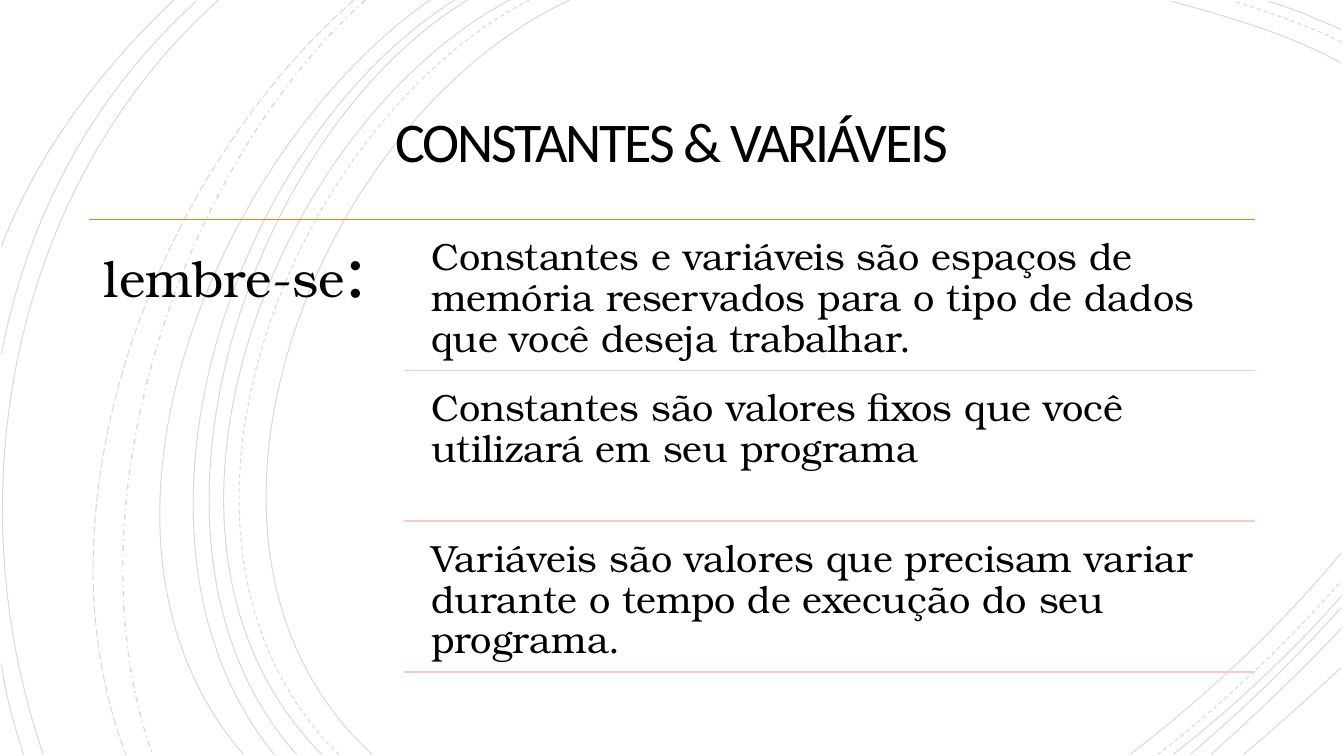
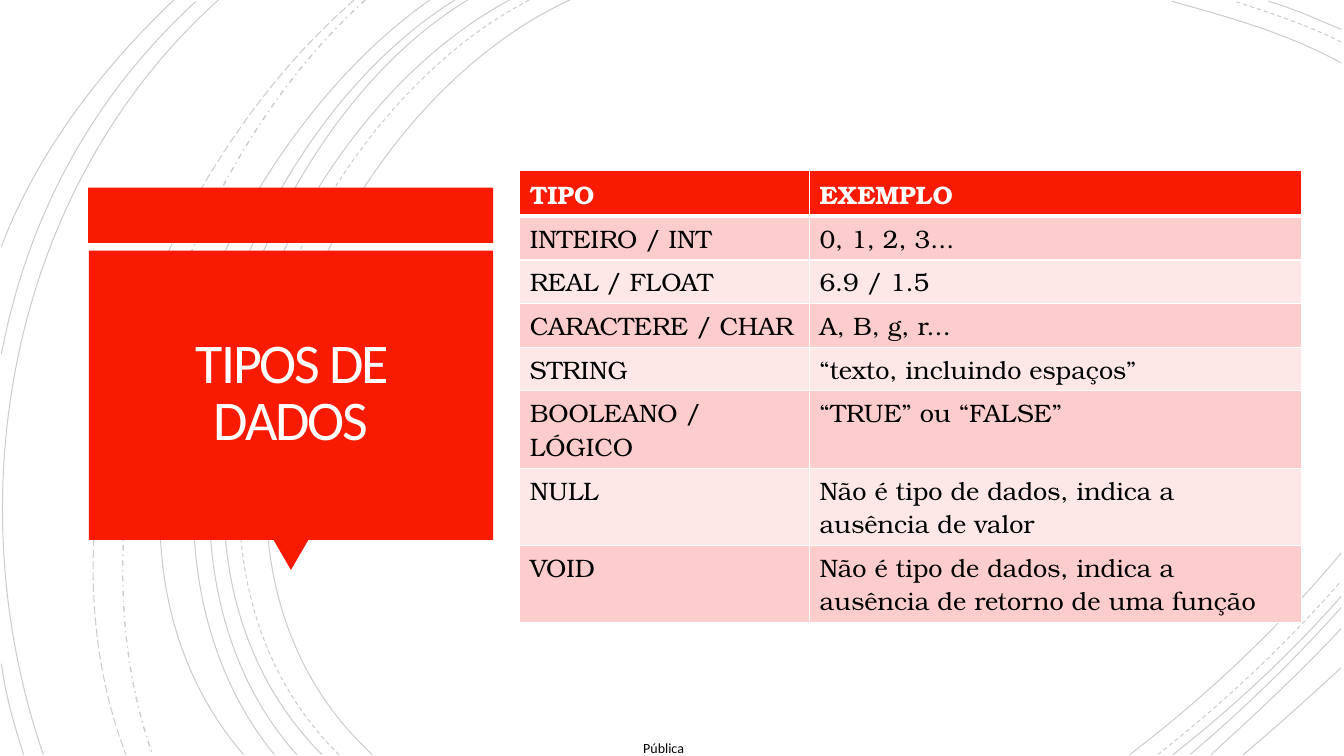
from dataclasses import dataclass

from lxml.etree import SubElement
from pptx import Presentation
from pptx.dml.color import RGBColor as RGB
from pptx.enum.dml import MSO_LINE as DASH
from pptx.enum.shapes import MSO_CONNECTOR as CONN, MSO_SHAPE as SHAPE
from pptx.enum.text import MSO_ANCHOR as ANCHOR, PP_ALIGN as ALIGN
from pptx.oxml.ns import qn
from pptx.util import Pt


# Shared look
@dataclass(frozen=True)
class Theme:
    heading: str = "Calibri"
    body: str = "TeX Gyre Bonum"
    black: str = "000000"
    white: str = "FFFFFF"
    red: str = "F81B02"
    orange: str = "FC7715"
    rose: str = "FECABD"
    bands: tuple = ("FCCDCC", "FEE8E7")
    title_size: int = 40
    label_size: int = 36
    colon_size: int = 52
    note_size: int = 27
    table_size: int = 18
    footer_size: int = 10


T = Theme()
WIDTH, HEIGHT = 960, 540

# Background arcs: start, two control points, end
SOLID_ARCS = [
    ((407, 0), (227, 83), (103, 389), (266, 539)),
    ((364, 0), (194, 91), (79, 387), (230, 539)),
    ((334, 0), (176, 96), (79, 390), (212, 539)),
    ((325, 0), (166, 99), (70, 384), (196, 539)),
    ((307, 0), (156, 106), (38, 381), (174, 539)),
    ((156, 0), (8, 133), (-33, 353), (31, 539)),
    ((140, 1), (66, 69), (20, 154), (1, 253)),
    ((124, 0), (72, 50), (27, 108), (1, 176)),
    ((1, 474), (4, 496), (10, 518), (17, 539)),
    ((958, 45), (920, 24), (877, 12), (837, 1)),
    ((958, 21), (941, 14), (924, 6), (906, 1)),
    ((807, 539), (862, 497), (914, 448), (958, 395)),
    ((838, 539), (881, 505), (922, 467), (958, 426)),
    ((850, 539), (888, 507), (924, 472), (958, 434)),
    ((865, 539), (897, 510), (929, 480), (958, 449)),
    ((888, 539), (912, 519), (935, 498), (958, 477)),
]
DASHED_ARCS = [
    ((378, 0), (205, 90), (89, 387), (242, 539)),
    ((958, 30), (934, 18), (907, 9), (882, 1)),
    ((827, 539), (873, 503), (918, 461), (958, 415)),
]
DASH_DOT_ARCS = [((261, 0), (127, 120), (47, 366), (109, 539))]
LONG_DASH_ARCS = [((253, 0), (113, 122), (21, 359), (90, 539))]
ARC_GROUPS = [
    (SOLID_ARCS, DASH.SOLID, 0.75),
    (DASHED_ARCS, DASH.DASH, 0.75),
    (DASH_DOT_ARCS, DASH.DASH_DOT, 1),
    (LONG_DASH_ARCS, DASH.LONG_DASH, 0.75),
]

NOTES = [
    "Constantes e variáveis são espaços de memória reservados para o tipo de dados que você deseja trabalhar.",
    "Constantes são valores fixos que você utilizará em seu programa",
    "Variáveis são valores que precisam variar durante o tempo de execução do seu programa.",
]

# Table rows with their heights
HEADER_ROW, SINGLE_ROW, DOUBLE_ROW = 32.5, 31.2, 55.2
TYPES = [
    (HEADER_ROW, "TIPO", "EXEMPLO"),
    (SINGLE_ROW, "INTEIRO / INT", "0, 1, 2, 3..."),
    (SINGLE_ROW, "REAL / FLOAT", "6.9 / 1.5"),
    (SINGLE_ROW, "CARACTERE / CHAR", "A, B, g, r..."),
    (SINGLE_ROW, "STRING", "“texto, incluindo espaços”"),
    (DOUBLE_ROW, "BOOLEANO / LÓGICO", "“TRUE” ou “FALSE”"),
    (DOUBLE_ROW, "NULL", "Não é tipo de dados, indica a ausência de valor"),
    (DOUBLE_ROW, "VOID", "Não é tipo de dados, indica a ausência de retorno de uma função"),
]


def apply(obj, **values):
    for name, value in values.items():
        setattr(obj, name, value)


def add_run(p, text, size, color=T.black, font=T.body, bold=False):
    r = p.add_run()
    r.text = text
    apply(r.font, name=font, size=Pt(size), bold=bold)
    r.font.color.rgb = RGB.from_string(color)
    return r


def add_text(slide, box, runs, inset=0, spacing=1.0, align=ALIGN.LEFT,
             anchor=ANCHOR.TOP, wrap=True, **style):
    """Place a text box whose runs are (text, size) pairs."""
    tf = slide.shapes.add_textbox(*map(Pt, box)).text_frame
    margins = {f"margin_{side}": Pt(inset) for side in ("left", "top", "right", "bottom")}
    apply(tf, word_wrap=wrap, vertical_anchor=anchor, **margins)
    p = tf.paragraphs[0]
    apply(p, alignment=align, line_spacing=spacing)
    return [add_run(p, text, size, **style) for text, size in runs]


def add_title(slide, text, box, color):
    r, = add_text(slide, box, [(text, T.title_size)], inset=18, spacing=0.85,
                  align=ALIGN.CENTER, anchor=ANCHOR.MIDDLE, font=T.heading, color=color)
    r.font._element.set("spc", "-150")


def add_rule(slide, x1, x2, y, color):
    line = slide.shapes.add_connector(CONN.STRAIGHT, Pt(x1), Pt(y), Pt(x2), Pt(y))
    line.line.width = Pt(1.25)
    line.line.color.rgb = RGB.from_string(color)
    SubElement(line._element.spPr, qn("a:effectLst"))


def add_block(slide, kind, box, color=T.red, rotation=0):
    sp = slide.shapes.add_shape(kind, *map(Pt, box))
    apply(sp, rotation=rotation)
    sp.shadow.inherit = False
    sp.fill.solid()
    sp.fill.fore_color.rgb = RGB.from_string(color)
    sp.line.fill.background()


def add_arc(slide, points, dash, width, opacity):
    start, *rest = [(Pt(x), Pt(y)) for x, y in points]
    builder = slide.shapes.build_freeform(*start)
    builder.add_line_segments(rest, close=False)
    sp = builder.convert_to_shape()
    sp.shadow.inherit = False
    sp.fill.background()
    apply(sp.line, width=Pt(width), dash_style=dash)
    sp.line.color.rgb = RGB.from_string(T.black)
    color = sp._element.xpath(".//a:ln//a:srgbClr")[0]
    SubElement(color, qn("a:alpha"), val=str(opacity * 1000))
    # Turn the three segments into one Bézier curve
    segments = sp._element.xpath(".//a:lnTo")
    curve = SubElement(segments[0].getparent(), qn("a:cubicBezTo"))
    for segment in segments:
        curve.append(segment[0])
        segment.getparent().remove(segment)


def add_background(slide, opacity):
    for arcs, dash, width in ARC_GROUPS:
        for points in arcs:
            add_arc(slide, points, dash, width, opacity)


def set_borders(cell, **widths):
    tc_pr = cell._tc.get_or_add_tcPr()
    for i, side in enumerate("LRTB"):
        ln = SubElement(tc_pr, qn(f"a:ln{side}"), w=str(Pt(widths.get(side, 1))))
        fill = SubElement(ln, qn("a:solidFill"))
        SubElement(fill, qn("a:srgbClr"), val=T.white)
        tc_pr.insert(i, ln)


def add_type_table(slide, x, y, col_widths):
    size = sum(col_widths), sum(height for height, *_ in TYPES)
    frame = slide.shapes.add_table(len(TYPES), len(col_widths), *map(Pt, (x, y, *size)))
    table = frame.table
    for col, width in zip(table.columns, col_widths):
        col.width = Pt(width)
    for i, (height, *values) in enumerate(TYPES):
        table.rows[i].height = Pt(height)
        header = i == 0
        fill = T.red if header else T.bands[(i - 1) % 2]
        for cell, text in zip(table.rows[i].cells, values):
            cell.fill.solid()
            cell.fill.fore_color.rgb = RGB.from_string(fill)
            set_borders(cell, B=3 if header else 1, T=3 if i == 1 else 1)
            add_run(cell.text_frame.paragraphs[0], text, T.table_size,
                    color=T.white if header else T.black, bold=header)


def build_constants(slide):
    add_block(slide, SHAPE.RECTANGLE, (0, 0, WIDTH, HEIGHT), T.white)
    add_background(slide, opacity=15)
    add_title(slide, "CONSTANTES & VARIÁVEIS", (138.3, 62.5, 683, 83), T.black)
    left, right, top = 63.5, 896.5, 156.7
    add_rule(slide, left, right, top, T.orange)
    add_text(slide, (left, top, 225, 329),
             [("lembre-se", T.label_size), (":", T.colon_size)], inset=10.8, spacing=0.9)
    # Notes, each closed by a rule
    for i, note in enumerate(NOTES):
        y = 162 + 107.7 * i
        add_text(slide, (300, y, 596, 103), [(note, T.note_size)], inset=8, spacing=0.9)
        add_rule(slide, 288.6, right, y + 102.7, T.rose)


def build_types(slide):
    add_background(slide, opacity=20)
    # Red title panel with pointer
    add_block(slide, SHAPE.RECTANGLE, (63, 134, 289.3, 39.5))
    add_block(slide, SHAPE.ISOSCELES_TRIANGLE, (195.3, 385.5, 25, 21.6), rotation=180)
    add_block(slide, SHAPE.RECTANGLE, (63.5, 179, 288.7, 206.7))
    add_title(slide, "TIPOS DE DADOS", (70, 185, 276, 194), T.white)
    add_type_table(slide, 371.2, 122, (207, 351.5))
    # Footer
    add_text(slide, (458, 528, 32, 12), [("Pública", T.footer_size)],
             align=ALIGN.CENTER, wrap=False, font=T.heading)


def main():
    prs = Presentation()
    apply(prs, slide_width=Pt(WIDTH), slide_height=Pt(HEIGHT))
    for build in (build_constants, build_types):
        build(prs.slides.add_slide(prs.slide_layouts[6]))
    prs.save("out.pptx")


if __name__ == "__main__":
    main()
